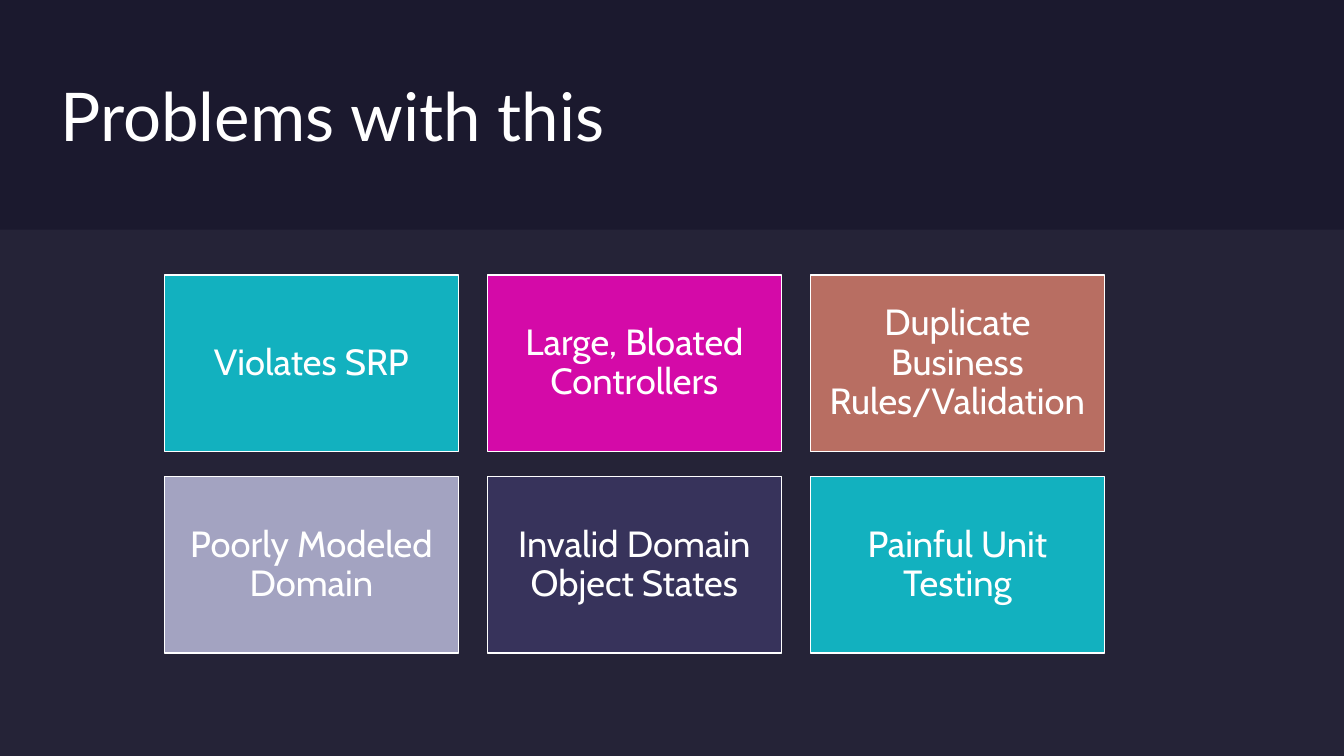
from dataclasses import dataclass

from lxml import etree
from pptx import Presentation
from pptx import util as u
from pptx.dml.color import RGBColor
from pptx.enum import shapes, text
from pptx.oxml.ns import qn
from pptx.shapes.autoshape import Shape
from pptx.slide import Slide


@dataclass(frozen=True)
class Theme:
    background: str = "1B192E"
    band: str = "E4E3F0"
    band_opacity: int = 5  # percent
    white: str = "FFFFFF"
    teal: str = "12B1BF"
    magenta: str = "D40AA8"
    clay: str = "B86E62"
    lavender: str = "A3A3C1"
    indigo: str = "37335B"
    title_font: str = "Lato"
    title_size: int = 48
    card_font: str = "Cabin"
    card_size: int = 26


@dataclass(frozen=True)
class Problem:
    label: str
    colour: str


THEME = Theme()
PROBLEMS = [
    Problem("Violates SRP", THEME.teal),
    Problem("Large, Bloated Controllers", THEME.magenta),
    Problem("Duplicate Business Rules/Validation", THEME.clay),
    Problem("Poorly Modeled Domain", THEME.lavender),
    Problem("Invalid Domain Object States", THEME.indigo),
    Problem("Painful Unit Testing", THEME.teal),
]

# Card grid, in centimetres
COLUMNS = 3
GRID_LEFT, GRID_TOP = 4.14, 6.93
CARD_WIDTH, CARD_HEIGHT = 7.42, 4.45
COLUMN_STEP, ROW_STEP = 8.14, 5.08
CARD_INSET = 0.28


def add_rectangle(slide: Slide, left: int, top: int, width: int, height: int,
                  colour: str) -> Shape:
    rectangle = slide.shapes.add_shape(
        shapes.MSO_SHAPE.RECTANGLE, left, top, width, height)
    rectangle.shadow.inherit = False
    rectangle.fill.solid()
    rectangle.fill.fore_color.rgb = RGBColor.from_string(colour)
    rectangle.line.fill.background()
    return rectangle


def write_text(shape: Shape, wording: str, font: str, size: int, inset: float,
               alignment: text.PP_ALIGN, spacing: float) -> None:
    frame = shape.text_frame
    frame.text = wording
    frame.word_wrap = True
    frame.auto_size = text.MSO_AUTO_SIZE.NONE
    frame.vertical_anchor = text.MSO_ANCHOR.MIDDLE
    frame.margin_left = frame.margin_right = u.Cm(inset)
    frame.margin_top = frame.margin_bottom = u.Cm(inset)
    paragraph = frame.paragraphs[0]
    paragraph.alignment = alignment
    paragraph.line_spacing = spacing
    paragraph.font.name = font
    paragraph.font.size = u.Pt(size)
    paragraph.font.color.rgb = RGBColor.from_string(THEME.white)


def add_title(slide: Slide, wording: str) -> None:
    title = slide.shapes.title
    title.left, title.top = u.Cm(1.52), u.Cm(1.52)
    title.width, title.height = u.Cm(20.3), u.Cm(2.74)
    write_text(title, wording, THEME.title_font, THEME.title_size, 0,
               text.PP_ALIGN.LEFT, 1.0)


def add_band(slide: Slide, slide_width: int, slide_height: int) -> None:
    top = u.Cm(5.79)
    band = add_rectangle(slide, 0, top, slide_width, slide_height - top, THEME.band)
    colour = band.fill._xPr.find(qn("a:solidFill"))[0]
    alpha = etree.SubElement(colour, qn("a:alpha"))
    alpha.set("val", str(THEME.band_opacity * 1000))


def add_card(slide: Slide, problem: Problem, row: int, column: int) -> None:
    card = add_rectangle(
        slide,
        u.Cm(GRID_LEFT + column * COLUMN_STEP), u.Cm(GRID_TOP + row * ROW_STEP),
        u.Cm(CARD_WIDTH), u.Cm(CARD_HEIGHT), problem.colour)
    card.line.color.rgb = RGBColor.from_string(THEME.white)
    card.line.width = u.Pt(1)
    write_text(card, problem.label, THEME.card_font, THEME.card_size, CARD_INSET,
               text.PP_ALIGN.CENTER, 0.9)


def main() -> None:
    deck = Presentation()
    deck.slide_width, deck.slide_height = u.Cm(33.87), u.Cm(19.05)
    slide = deck.slides.add_slide(deck.slide_layouts.get_by_name("Title Only"))

    # Background, title and lighter lower band
    slide.background.fill.solid()
    slide.background.fill.fore_color.rgb = RGBColor.from_string(THEME.background)
    add_title(slide, "Problems with this")
    add_band(slide, deck.slide_width, deck.slide_height)

    # Problem cards, row by row
    for index, problem in enumerate(PROBLEMS):
        add_card(slide, problem, *divmod(index, COLUMNS))

    deck.save("out.pptx")


if __name__ == "__main__":
    main()
